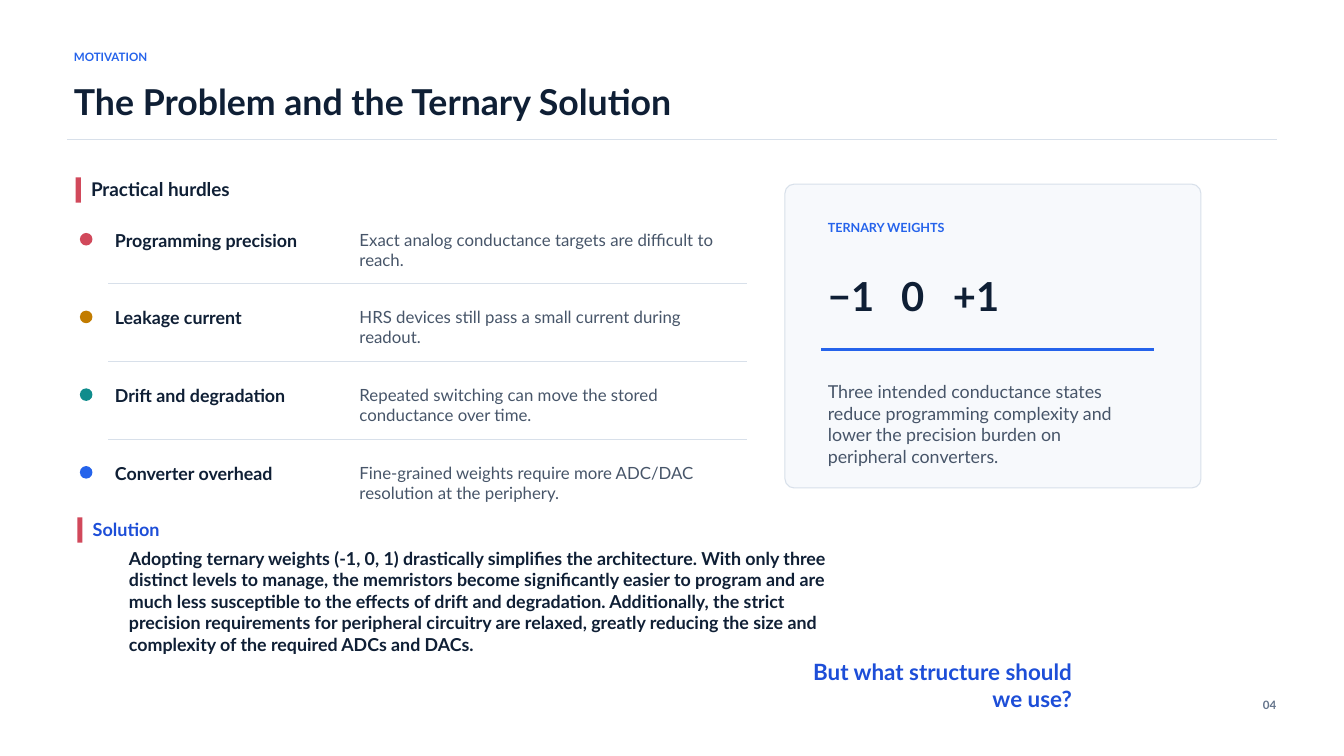
from lxml import etree
from pptx import Presentation
from pptx.dml.color import RGBColor
from pptx.enum.shapes import MSO_CONNECTOR, MSO_SHAPE
from pptx.enum.text import MSO_AUTO_SIZE, PP_ALIGN
from pptx.oxml.ns import qn
from pptx.util import Pt

RECTANGLE = MSO_SHAPE.RECTANGLE
ROUNDED = MSO_SHAPE.ROUNDED_RECTANGLE
OVAL = MSO_SHAPE.OVAL
STRAIGHT = MSO_CONNECTOR.STRAIGHT
FIT_TEXT = MSO_AUTO_SIZE.SHAPE_TO_FIT_TEXT
LEFT, RIGHT = PP_ALIGN.LEFT, PP_ALIGN.RIGHT

WHITE = RGBColor(0xFF, 0xFF, 0xFF)
INK = RGBColor(0x0F, 0x1F, 0x35)
BODY = RGBColor(0x47, 0x55, 0x69)
MUTED = RGBColor(0x64, 0x74, 0x8B)
RULE = RGBColor(0xD8, 0xE0, 0xEA)
PANEL = RGBColor(0xF7, 0xF9, 0xFC)
BLUE = RGBColor(0x25, 0x63, 0xEB)
DEEP_BLUE = RGBColor(0x1D, 0x4E, 0xD8)
RED = RGBColor(0xD1, 0x49, 0x5B)
AMBER = RGBColor(0xC2, 0x7C, 0x00)
TEAL = RGBColor(0x0F, 0x8C, 0x8C)

FONT = "Lato"
HURDLES = [
    (RED, "Programming precision",
     "Exact analog conductance targets are difficult to reach."),
    (AMBER, "Leakage current",
     "HRS devices still pass a small current during readout."),
    (TEAL, "Drift and degradation",
     "Repeated switching can move the stored conductance over time."),
    (BLUE, "Converter overhead",
     "Fine-grained weights require more ADC/DAC resolution at the periphery."),
]
SOLUTION = (
    "Adopting ternary weights (-1, 0, 1) drastically simplifies the architecture. "
    "With only three distinct levels to manage, the memristors become significantly "
    "easier to program and are much less susceptible to the effects of drift and "
    "degradation. Additionally, the strict precision requirements for peripheral "
    "circuitry are relaxed, greatly reducing the size and complexity of the required "
    "ADCs and DACs."
)
STATES = (
    "Three intended conductance states reduce programming complexity and lower the "
    "precision burden on peripheral converters."
)


def add_text(slide, box, text, size, color, spacing, bold=True, align=LEFT, tabs=()):
    """Add one paragraph; spacing is the exact line height, tabs are stops in points."""
    text_box = slide.shapes.add_textbox(*map(Pt, box))
    frame = text_box.text_frame
    frame_format = {
        "word_wrap": True, "auto_size": FIT_TEXT,
        "margin_left": 0, "margin_right": 0, "margin_top": 0, "margin_bottom": 0,
    }
    for name, value in frame_format.items():
        setattr(frame, name, value)
    paragraph = frame.paragraphs[0]
    paragraph.alignment = align
    paragraph.line_spacing = Pt(spacing)
    if tabs:
        properties = paragraph._p.get_or_add_pPr()
        tab_list = etree.SubElement(properties, qn("a:tabLst"))
        for stop in tabs:
            etree.SubElement(tab_list, qn("a:tab"), pos=str(Pt(stop)), algn="l")
    run = paragraph.add_run()
    run.text = text
    for name, value in {"name": FONT, "size": Pt(size), "bold": bold}.items():
        setattr(run.font, name, value)
    run.font.color.rgb = color


def add_filled(slide, kind, box, color):
    shape = slide.shapes.add_shape(kind, *map(Pt, box))
    shape.shadow.inherit = False
    shape.fill.solid()
    shape.fill.fore_color.rgb = color
    shape.line.fill.background()
    return shape


def add_rule(slide, left, middle, width, color=RULE, weight=1.13):
    ends = left, middle, left + width, middle
    rule = slide.shapes.add_connector(STRAIGHT, *map(Pt, ends))
    rule.line.color.rgb = color
    rule.line.width = Pt(weight)
    etree.SubElement(rule._element.spPr, qn("a:effectLst"))


def add_header(slide, left, top, width):
    add_text(slide, (left + 7.2, top, 773, 13), "MOTIVATION", 12.4, BLUE, 14.8)
    add_text(slide, (left + 7.2, top + 31.7, 998, 51),
             "The Problem and the Ternary Solution", 38.2, INK, 45.9)
    add_rule(slide, left, top + 95.8, width)


def add_section_heading(slide, left, top, text, size, color, spacing, text_width):
    add_filled(slide, RECTANGLE, (left, top, 5.6, 27), RED)
    add_text(slide, (left + 16.5, top + 0.6, text_width, 25), text, size, color, spacing)


def add_hurdles(slide, left, top, pitch):
    for index, (color, title, detail) in enumerate(HURDLES):
        row_top = top + index * pitch
        add_filled(slide, OVAL, (left, row_top + 4, 13.5, 13.5), color)
        add_text(slide, (left + 37.6, row_top, 244, 20), title, 19.1, INK, 22.9)
        add_text(slide, (left + 299.6, row_top, 407.5, 40), detail, 18, BODY, 21.6,
                 bold=False)
        if index < len(HURDLES) - 1:
            add_rule(slide, left + 30.4, row_top + 58.6, 684)


def add_weights_card(slide, left, top, width, height):
    card = add_filled(slide, ROUNDED, (left, top, width, height), PANEL)
    card.adjustments[0] = 0.03
    card.line.color.rgb = RULE
    card.line.width = Pt(1.13)
    text_left = left + 46
    add_text(slide, (text_left, top + 38.2, 300, 16), "TERNARY WEIGHTS", 13.5, BLUE, 16.2)
    add_text(slide, (text_left, top + 93.6, 323, 55), "−1\t0\t+1", 42.8, INK, 51.3,
             tabs=(78.5, 134))
    add_rule(slide, left + 39, top + 176.8, 356, BLUE, 3.4)
    add_text(slide, (text_left, top + 211, 331, 71), STATES, 19.1, BODY, 22.9, bold=False)


def add_solution(slide, left, top):
    add_section_heading(slide, left, top, "Solution", 19.3, DEEP_BLUE, 23.2, 154)
    add_text(slide, (left + 55.4, top + 32.5, 773, 112), SOLUTION, 19.1, INK, 22.9)


def add_closing(slide, left, top, width):
    add_text(slide, (left, top, width, 35), "But what structure should we use?",
             24, DEEP_BLUE, 28.8, align=RIGHT)


def add_page_number(slide, left, top, width):
    add_text(slide, (left, top, width, 13), "04", 12.4, MUTED, 14.8, align=RIGHT)


def main():
    presentation = Presentation()
    presentation.slide_width = Pt(1440)
    presentation.slide_height = Pt(810)
    slide = presentation.slides.add_slide(presentation.slide_layouts[6])
    slide.background.fill.solid()
    slide.background.fill.fore_color.rgb = WHITE

    add_header(slide, 72, 53.3, 1296)
    add_section_heading(slide, 81, 190, "Practical hurdles", 20.2, INK, 24.3, 492)
    add_hurdles(slide, 85.6, 245.6, 83.25)
    add_weights_card(slide, 841, 197.3, 445.7, 325.5)
    add_solution(slide, 82.8, 554.4)
    add_closing(slide, 861.8, 704.9, 286.6)
    add_page_number(slide, 1325.5, 748, 42)
    presentation.save("out.pptx")


if __name__ == "__main__":
    main()
